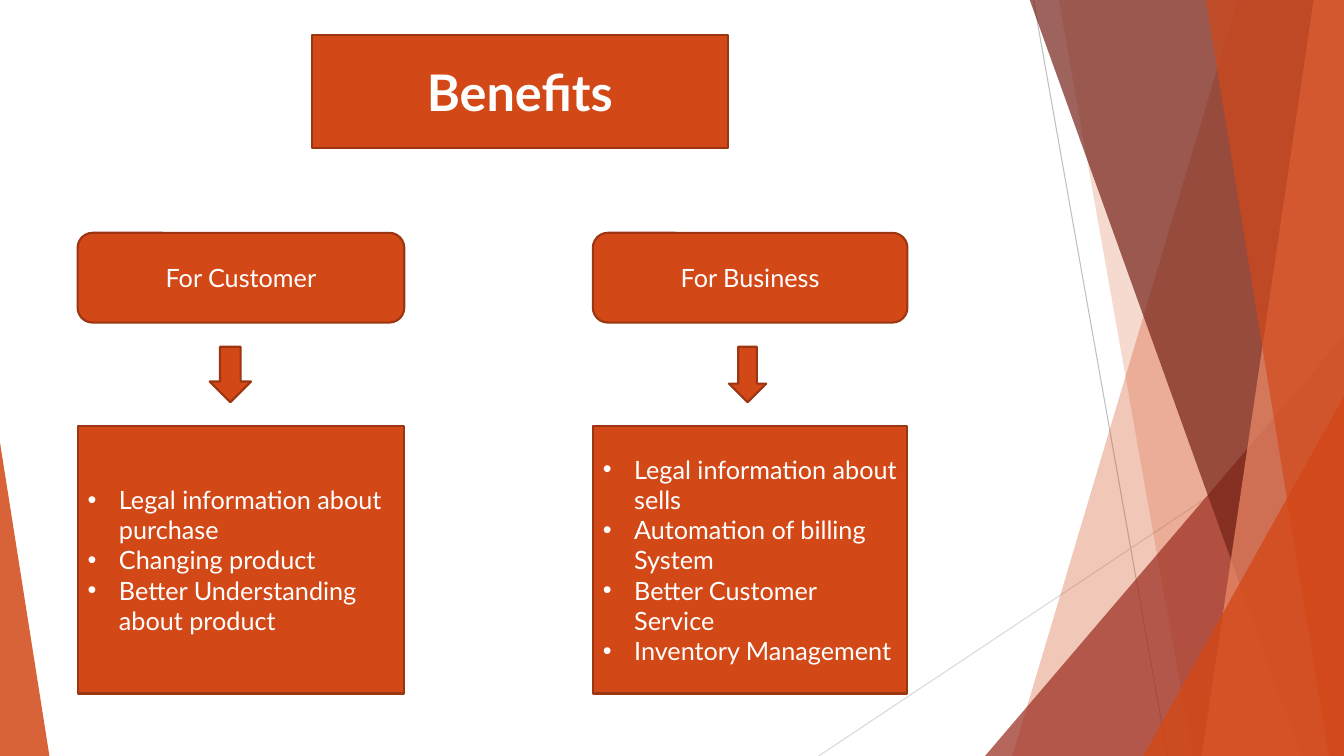
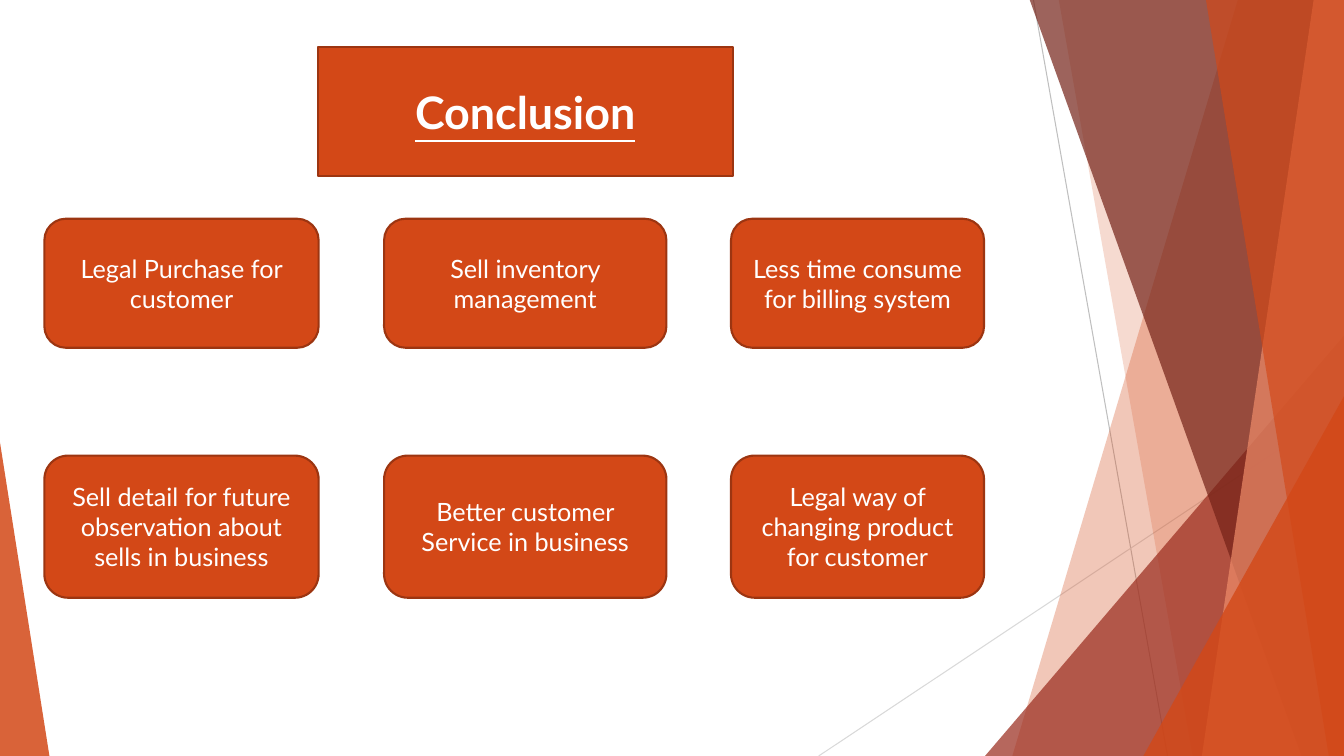
from lxml import etree
from pptx import Presentation
from pptx.dml.color import RGBColor
from pptx.enum import shapes, text
from pptx.oxml.ns import qn
from pptx.util import Inches, Pt

WIDTH, HEIGHT = 13.33, 7.5
FONT = "Lato"
COLORS = {
    "orange": "D34817",
    "outline": "9C3511",
    "red": "9B2D1F",
    "maroon": "742217",
    "salmon": "EF8C6A",
    "white": "FFFFFF",
    "gray": "BFBFBF",
    "light gray": "D9D9D9",
}
SHAPE = shapes.MSO_SHAPE
ALIGN = text.PP_ALIGN

BENEFITS = [
    # heading, left, width, arrow left, arrow width, points
    ("For Customer", 0.77, 3.24, 2.08, 0.41,
     ["Legal information about purchase",
      "Changing product",
      "Better Understanding about product"]),
    ("For Business", 5.88, 3.12, 7.23, 0.37,
     ["Legal information about sells",
      "Automation of billing System",
      "Better Customer Service",
      "Inventory Management"]),
]
CONCLUSION_COLUMNS = [(0.44, 2.72), (3.81, 2.8), (7.25, 2.51)]
CONCLUSION_ROWS = [
    (2.17, 1.28, ["Legal Purchase for customer",
                  "Sell inventory management",
                  "Less time consume for billing system"]),
    (4.52, 1.41, ["Sell detail for future observation about sells in business",
                  "Better customer Service in business",
                  "Legal way of changing product for customer"]),
]


def rgb(name):
    return RGBColor.from_string(COLORS[name])


def fill_glass(shape, color, opacity):
    """Fill a shape with a see-through colour and no outline."""
    shape.shadow.inherit = False
    shape.fill.solid()
    shape.fill.fore_color.rgb = rgb(color)
    paint = shape.element.spPr.find(qn("a:solidFill")).find(qn("a:srgbClr"))
    etree.SubElement(paint, qn("a:alpha"), val=str(opacity * 1000))
    shape.line.fill.background()


def add_hairline(group, start, end, color):
    hairline = group.shapes.add_connector(
        shapes.MSO_CONNECTOR.STRAIGHT, *map(Inches, start + end))
    hairline.line.color.rgb = rgb(color)
    hairline.line.width = Pt(0.75)
    etree.SubElement(hairline.element.spPr, qn("a:effectLst"))


def add_ribbon(group, top_left, bottom_left, color, opacity, top_right=WIDTH):
    """Add a band with a slanted left side that reaches the right slide edge."""
    corners = [(top_left, -0.01), (top_right, -0.01),
               (WIDTH, HEIGHT), (bottom_left, HEIGHT)]
    points = [(Inches(x), Inches(y)) for x, y in corners]
    builder = group.shapes.build_freeform(*points[0])
    builder.add_line_segments(points[1:], close=True)
    fill_glass(builder.convert_to_shape(), color, opacity)


def add_wedge(group, left, top, width, apex, color, opacity):
    """Add a right triangle standing on the bottom slide edge."""
    wedge = group.shapes.add_shape(
        SHAPE.ISOSCELES_TRIANGLE,
        *map(Inches, (left, top, width, HEIGHT - top)))
    wedge.adjustments[0] = apex
    fill_glass(wedge, color, opacity)


def add_facets(prs, slide):
    """Draw the faceted background and move it to the slide master."""
    facets = slide.shapes.add_group_shape()
    add_hairline(facets, (10.25, 0), (11.58, HEIGHT), "gray")
    add_hairline(facets, (WIDTH, 4.03), (8.12, HEIGHT), "light gray")
    add_ribbon(facets, 12.28, 10.04, "orange", 30)
    add_ribbon(facets, 10.5, 11.83, "orange", 20)
    add_wedge(facets, 9.77, 3.33, 3.56, 1, "red", 72)
    add_ribbon(facets, 10.21, 12.91, "maroon", 70)
    add_ribbon(facets, 13.03, 11.92, "salmon", 70)
    add_ribbon(facets, 11.96, 13.18, "orange", 65)
    add_wedge(facets, 11.34, 3.93, 1.99, 1, "orange", 80)
    add_wedge(facets, 0, 4.39, 0.49, 0, "orange", 85)
    for number, properties in enumerate(facets.element.iter(qn("p:cNvPr")), 100):
        properties.set("id", str(number))
    prs.slide_master.shapes.element.insert(2, facets.element)


def place(shape, left, top, width, height):
    shape.left, shape.top = Inches(left), Inches(top)
    shape.width, shape.height = Inches(width), Inches(height)


def paint_card(shape):
    shape.fill.solid()
    shape.fill.fore_color.rgb = rgb("orange")
    shape.line.color.rgb = rgb("outline")
    shape.line.width = Pt(1.5)


def write(shape, content, size=18, align=ALIGN.CENTER, bold=False, underline=False):
    frame = shape.text_frame
    frame.text = content
    frame.word_wrap = True
    frame.auto_size = text.MSO_AUTO_SIZE.NONE
    frame.vertical_anchor = text.MSO_ANCHOR.MIDDLE
    for paragraph in frame.paragraphs:
        paragraph.alignment = align
        paragraph.space_before = Pt(0)
        for run in paragraph.runs:
            font = run.font
            font.name, font.size = FONT, Pt(size)
            font.bold, font.underline = bold, underline
            font.color.rgb = rgb("white")


def set_title(slide, content, box, size, underline=False):
    """Turn the title placeholder into a filled ellipse."""
    title = slide.shapes.title
    place(title, *box)
    outline = etree.SubElement(title.element.spPr, qn("a:prstGeom"), prst="ellipse")
    etree.SubElement(outline, qn("a:avLst"))
    paint_card(title)
    write(title, content, size, bold=True, underline=underline)


def add_card(slide, kind, box, content=""):
    card = slide.shapes.add_shape(kind, *map(Inches, box))
    card.shadow.inherit = False
    paint_card(card)
    if content:
        write(card, content)


def fill_list(body, box, points):
    place(body, *box)
    paint_card(body)
    write(body, "\n".join(points), align=ALIGN.LEFT)
    indent = Inches(0.31)
    for paragraph in body.text_frame.paragraphs:
        properties = paragraph._p.get_or_add_pPr()
        properties.set("marL", str(indent))
        properties.set("indent", str(-indent))
        etree.SubElement(properties, qn("a:buFont"), typeface="Arial")
        etree.SubElement(properties, qn("a:buChar"), char="•")


def build_benefits(slide):
    set_title(slide, "Benefits", (3.09, 0.35, 4.13, 1.12), 36)
    bodies = list(slide.placeholders)[1:]
    for body, benefit in zip(bodies, BENEFITS):
        heading, left, width, arrow_left, arrow_width, points = benefit
        add_card(slide, SHAPE.ROUNDED_RECTANGLE, (left, 2.31, width, 0.89), heading)
        add_card(slide, SHAPE.DOWN_ARROW, (arrow_left, 3.44, arrow_width, 0.55))
        fill_list(body, (left, 4.23, width, 2.65), points)


def build_conclusion(slide):
    set_title(slide, "Conclusion", (3.15, 0.47, 4.12, 1.28), 32, underline=True)
    for top, height, statements in CONCLUSION_ROWS:
        for (left, width), statement in zip(CONCLUSION_COLUMNS, statements):
            add_card(slide, SHAPE.ROUNDED_RECTANGLE,
                     (left, top, width, height), statement)


def main():
    prs = Presentation()
    prs.slide_width, prs.slide_height = Inches(WIDTH), Inches(HEIGHT)
    two_content = prs.slide_layouts.get_by_name("Two Content")
    title_only = prs.slide_layouts.get_by_name("Title Only")
    benefits = prs.slides.add_slide(two_content)
    add_facets(prs, benefits)
    build_benefits(benefits)
    build_conclusion(prs.slides.add_slide(title_only))
    prs.save("out.pptx")


if __name__ == "__main__":
    main()
